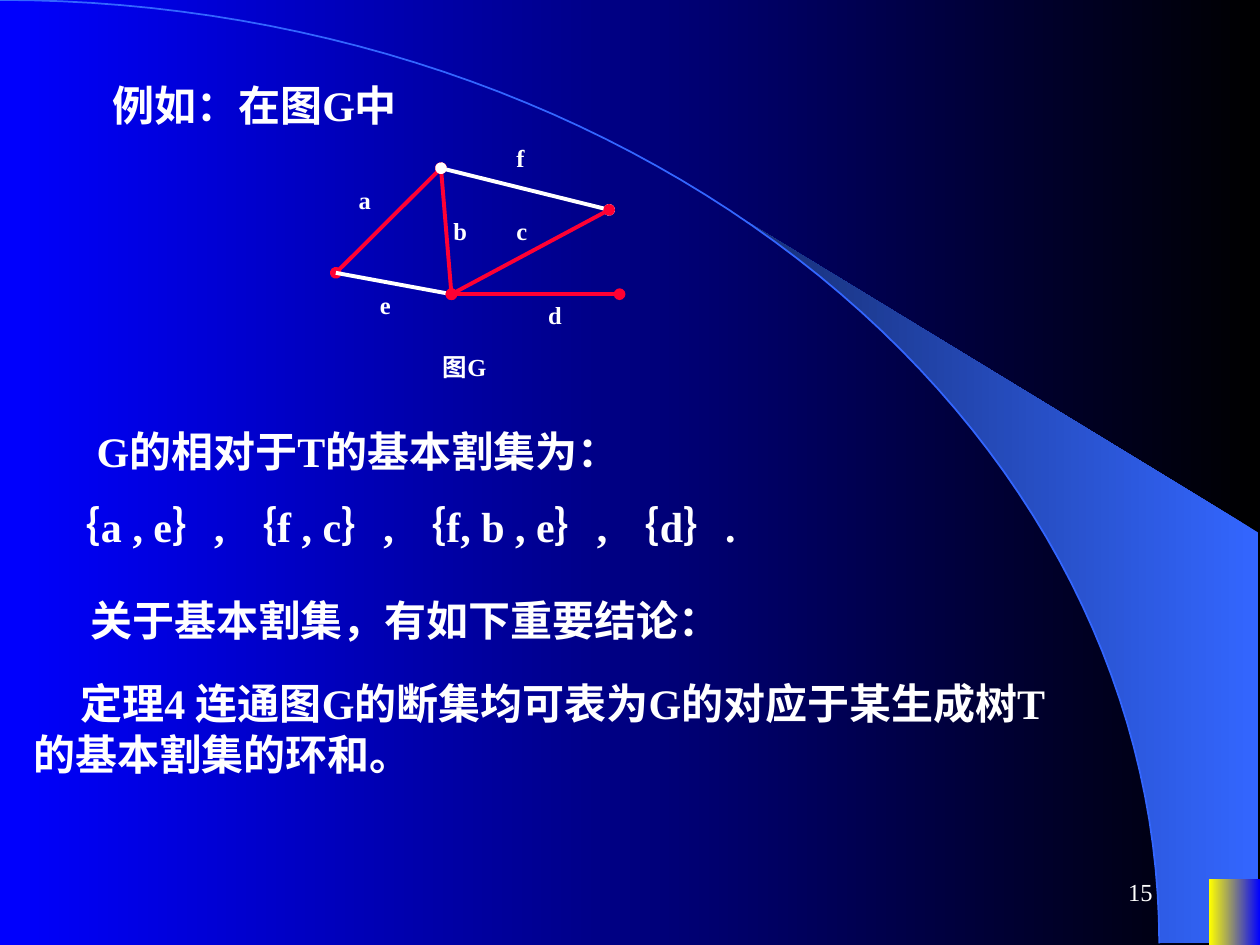
from math import asin, cos, pi, sin

from lxml import etree
from pptx import Presentation
from pptx.dml.color import RGBColor
from pptx.enum.shapes import MSO_CONNECTOR, MSO_SHAPE
from pptx.enum.text import MSO_ANCHOR, MSO_AUTO_SIZE, PP_ALIGN
from pptx.oxml.ns import qn
from pptx.util import Cm, Pt

STRAIGHT, RECTANGLE = MSO_CONNECTOR.STRAIGHT, MSO_SHAPE.RECTANGLE
TOP, MIDDLE = MSO_ANCHOR.TOP, MSO_ANCHOR.MIDDLE
LEFT, RIGHT = PP_ALIGN.LEFT, PP_ALIGN.RIGHT
NO_AUTOFIT = MSO_AUTO_SIZE.NONE

THEME = {
    "font": "Times New Roman", "body": 24, "label": 14,
    "text": "FFFFFF", "tree": "FF0033", "chord": "FFFFFF",
    "arc": "3366FF", "wedge": ("3366FF", "172F75"),
    "background": ("000000", "0000FF"), "corner": ("0000FF", "FFFF00"),
}

# All places are in centimetres.
SLIDE_SIZE = (25.4, 19.05)
ARC_RADII = (23.37, 19.02)
WEDGE_START, WEDGE_RIGHT, WEDGE_TOP = 14.96, 25.37, 10.74
CORNER_BOX = (24.38, 17.73, 1.02, 1.32)

HEADING = ("例如：在图G中", (1.07, 1.47, 21.39, 1.27), 0.94)
STATEMENTS = [  # text, box, first-line indent
    ("G的相对于T的基本割集为：", (0.64, 8.46, 21.39, 1.27), 1.06),
    ("｛a , e｝, ｛f , c｝, ｛f, b , e｝, ｛d｝.", (0, 9.96, 20.52, 1.27), 0.94),
    ("关于基本割集，有如下重要结论：", (0.64, 11.86, 21.39, 1.27), 0.94),
    ("定理4 连通图G的断集均可表为G的对应于某生成树T的基本割集的环和。",
     (0.43, 13.54, 21.39, 2.29), 0.94),
]
PAGE_NUMBER = ("15", (18.21, 17.35, 5.28, 1.27))

VERTICES = {"top": (8.89, 3.39), "left": (6.77, 5.5), "hub": (9.1, 5.93),
            "right": (12.28, 4.23), "end": (12.49, 5.93)}
EDGES = [  # from, to, kind, vertex dots
    ("top", "left", "tree", True), ("top", "hub", "tree", True),
    ("left", "hub", "chord", False), ("top", "right", "chord", True),
    ("hub", "right", "tree", True), ("hub", "end", "tree", True),
]
LABEL_WIDTH, CAPTION_WIDTH, LABEL_HEIGHT = 1.09, 2.12, 0.86
EDGE_LABELS = {"f": (10.16, 2.75), "e": (7.41, 5.72), "d": (10.8, 5.93),
               "c": (10.16, 4.23), "b": (8.89, 4.23), "a": (6.98, 3.6)}
CAPTION = ("图G", (8.68, 6.98))


def rgb(name):
    return RGBColor.from_string(name)


def cm(values):
    return [Cm(value) for value in values]


def paint_gradient(fill, colours):
    """Run the two colours from right to left."""
    fill.gradient()
    fill.gradient_angle = 180
    for stop, colour in zip(fill.gradient_stops, colours):
        stop.color.rgb = rgb(colour)


def arc_points(start_x=0, steps=60):
    """Points on the quarter ellipse, from start_x to its right end."""
    rx, ry = ARC_RADII
    first = asin(start_x / rx)
    angles = [first + (pi / 2 - first) * i / steps for i in range(steps + 1)]
    return [(rx * sin(t), ry * (1 - cos(t))) for t in angles]


def add_outline(slide, points, close):
    start, *rest = [cm(point) for point in points]
    builder = slide.shapes.build_freeform(*start)
    builder.add_line_segments(rest, close=close)
    outline = builder.convert_to_shape()
    outline.shadow.inherit = False
    return outline


def write(holder, text, size=THEME["body"], bold=True, indent=0,
          align=LEFT, anchor=TOP):
    frame = holder.text_frame
    frame.word_wrap = True
    frame.auto_size = NO_AUTOFIT
    frame.vertical_anchor = anchor
    frame.text = text
    paragraph = frame.paragraphs[0]
    paragraph.alignment = align
    paragraph._p.get_or_add_pPr().set("indent", str(Cm(indent)))
    for run in paragraph.runs:
        run.font.name = THEME["font"]
        run.font.size = Pt(size)
        run.font.bold = bold
        run.font.color.rgb = rgb(THEME["text"])


def add_text(slide, text, box, **style):
    write(slide.shapes.add_textbox(*cm(box)), text, **style)


def add_edge(slide, start, end, kind, dots):
    edge = slide.shapes.add_connector(
        STRAIGHT, *cm(VERTICES[start] + VERTICES[end]))
    edge.line.color.rgb = rgb(THEME[kind])
    edge.line.width = Pt(2.25)
    if dots:
        line = edge.line._get_or_add_ln()
        for tag in ("a:headEnd", "a:tailEnd"):
            etree.SubElement(line, qn(tag), type="oval")
    etree.SubElement(edge._element.spPr, qn("a:effectLst"))


def add_backdrop(slide):
    paint_gradient(slide.background.fill, THEME["background"])

    corners = [(WEDGE_RIGHT, ARC_RADII[1]), (WEDGE_RIGHT, WEDGE_TOP)]
    wedge = add_outline(slide, arc_points(WEDGE_START) + corners, close=True)
    paint_gradient(wedge.fill, THEME["wedge"])
    wedge.line.fill.background()

    arc = add_outline(slide, arc_points(), close=False)
    arc.fill.background()
    arc.line.color.rgb = rgb(THEME["arc"])
    arc.line.width = Pt(1)

    corner = slide.shapes.add_shape(RECTANGLE, *cm(CORNER_BOX))
    corner.shadow.inherit = False
    paint_gradient(corner.fill, THEME["corner"])
    corner.line.fill.background()


def add_graph(slide):
    for edge in EDGES:
        add_edge(slide, *edge)
    for label, place in EDGE_LABELS.items():
        add_text(slide, label, place + (LABEL_WIDTH, LABEL_HEIGHT),
                 size=THEME["label"])
    caption, place = CAPTION
    add_text(slide, caption, place + (CAPTION_WIDTH, LABEL_HEIGHT),
             size=THEME["label"])


def main():
    deck = Presentation()
    deck.slide_width, deck.slide_height = cm(SLIDE_SIZE)
    slide = deck.slides.add_slide(deck.slide_layouts[5])
    add_backdrop(slide)

    text, box, indent = HEADING
    title = slide.shapes.title
    title.left, title.top, title.width, title.height = cm(box)
    write(title, text, indent=indent)

    add_graph(slide)
    for text, box, indent in STATEMENTS:
        add_text(slide, text, box, indent=indent)
    number, box = PAGE_NUMBER
    add_text(slide, number, box, size=THEME["label"], bold=False,
             align=RIGHT, anchor=MIDDLE)
    deck.save("out.pptx")


if __name__ == "__main__":
    main()
